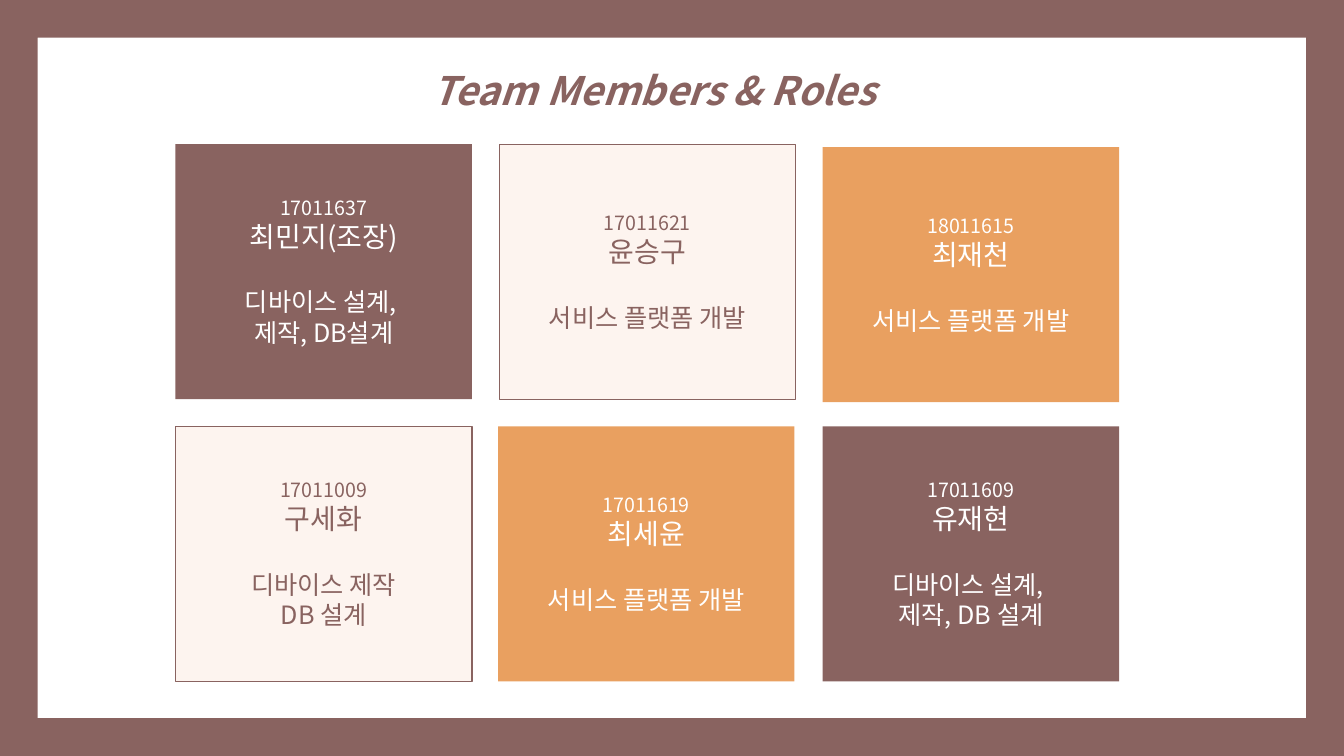
from pptx import Presentation
from pptx.dml.color import RGBColor
from pptx.enum.shapes import MSO_SHAPE as Shape
from pptx.enum.text import MSO_ANCHOR as Anchor, MSO_AUTO_SIZE as AutoSize, PP_ALIGN as Align
from pptx.oxml.ns import qn
from pptx.util import Inches, Pt

BROWN = RGBColor(0x89, 0x63, 0x60)
CREAM = RGBColor(0xFD, 0xF4, 0xEF)
ORANGE = RGBColor(0xE9, 0xA0, 0x60)
WHITE = RGBColor(0xFF, 0xFF, 0xFF)


class Deck:
    font = "Noto Sans CJK KR"
    card_size = (2.94, 2.53)
    role_gap = 24

    def __init__(self, prs):
        self.s = prs.slides.add_slide(prs.slide_layouts[5])

    def set_text(self, p, text, size, color, **style):
        p.text = text
        p.alignment = Align.CENTER
        values = {"name": self.font, "size": Pt(size), **style}
        for r in p.runs:
            for key, value in values.items():
                setattr(r.font, key, value)
            r.font.color.rgb = color
            # Korean glyphs take the East Asian typeface
            latin = r._r.rPr.find(qn("a:latin"))
            latin.addnext(latin.makeelement(qn("a:ea"), {"typeface": self.font}))

    def title(self, text, left, top, width, height):
        sp = self.s.shapes.title
        box = {"left": left, "top": top, "width": width, "height": height}
        for key, value in box.items():
            setattr(sp, key, Inches(value))
        tf = sp.text_frame
        frame = {"word_wrap": True, "vertical_anchor": Anchor.TOP,
                 "auto_size": AutoSize.SHAPE_TO_FIT_TEXT}
        for key, value in frame.items():
            setattr(tf, key, value)
        p = tf.paragraphs[0]
        self.set_text(p, text, 28, BROWN, bold=True, italic=True)
        p.line_spacing = 1.5

    def shape(self, kind, left, top, width, height, fill, line=None):
        sp = self.s.shapes.add_shape(kind, *map(Inches, (left, top, width, height)))
        sp.shadow.inherit = False
        sp.fill.solid()
        sp.fill.fore_color.rgb = fill
        if line:
            sp.line.color.rgb = BROWN
            sp.line.width = Pt(line)
        else:
            sp.line.fill.background()
        return sp

    def card(self, left, top, fill, line, number, name, *roles):
        sp = self.shape(Shape.RECTANGLE, left, top, *self.card_size, fill, line)
        color = BROWN if fill == CREAM else WHITE
        tf = sp.text_frame
        tf.word_wrap = True
        tf.vertical_anchor = Anchor.MIDDLE
        lines = [(number, 14), (name, 20)] + [(role, 18) for role in roles]
        for i, (text, size) in enumerate(lines):
            p = tf.add_paragraph() if i else tf.paragraphs[0]
            self.set_text(p, text, size, color)
            if i == 2:
                p.space_before = Pt(self.role_gap)


def main():
    prs = Presentation()
    prs.slide_width, prs.slide_height = Inches(13.33), Inches(7.5)
    deck = Deck(prs)

    # Border and title
    border = deck.shape(Shape.FRAME, 0, 0, 13.33, 7.5, BROWN)
    border.adjustments[0] = 0.05
    deck.title("Team Members & Roles", 3.57, 0.37, 5.84, 0.72)

    # Member cards: left, top, fill, line width, number, name, roles
    platform = "서비스 플랫폼 개발"
    members = [
        (1.74, 1.43, BROWN, None, "17011637", "최민지(조장)", "디바이스 설계, \v제작, DB설계"),
        (4.95, 1.43, CREAM, 0.25, "17011621", "윤승구", platform),
        (8.16, 1.46, ORANGE, None, "18011615", "최재천", platform),
        (1.74, 4.23, CREAM, 1, "17011009", "구세화", "디바이스 제작", "DB 설계"),
        (4.94, 4.23, ORANGE, None, "17011619", "최세윤", platform),
        (8.16, 4.23, BROWN, None, "17011609", "유재현", "디바이스 설계, \v제작, DB 설계"),
    ]
    for member in members:
        deck.card(*member)

    prs.save("out.pptx")


if __name__ == "__main__":
    main()
